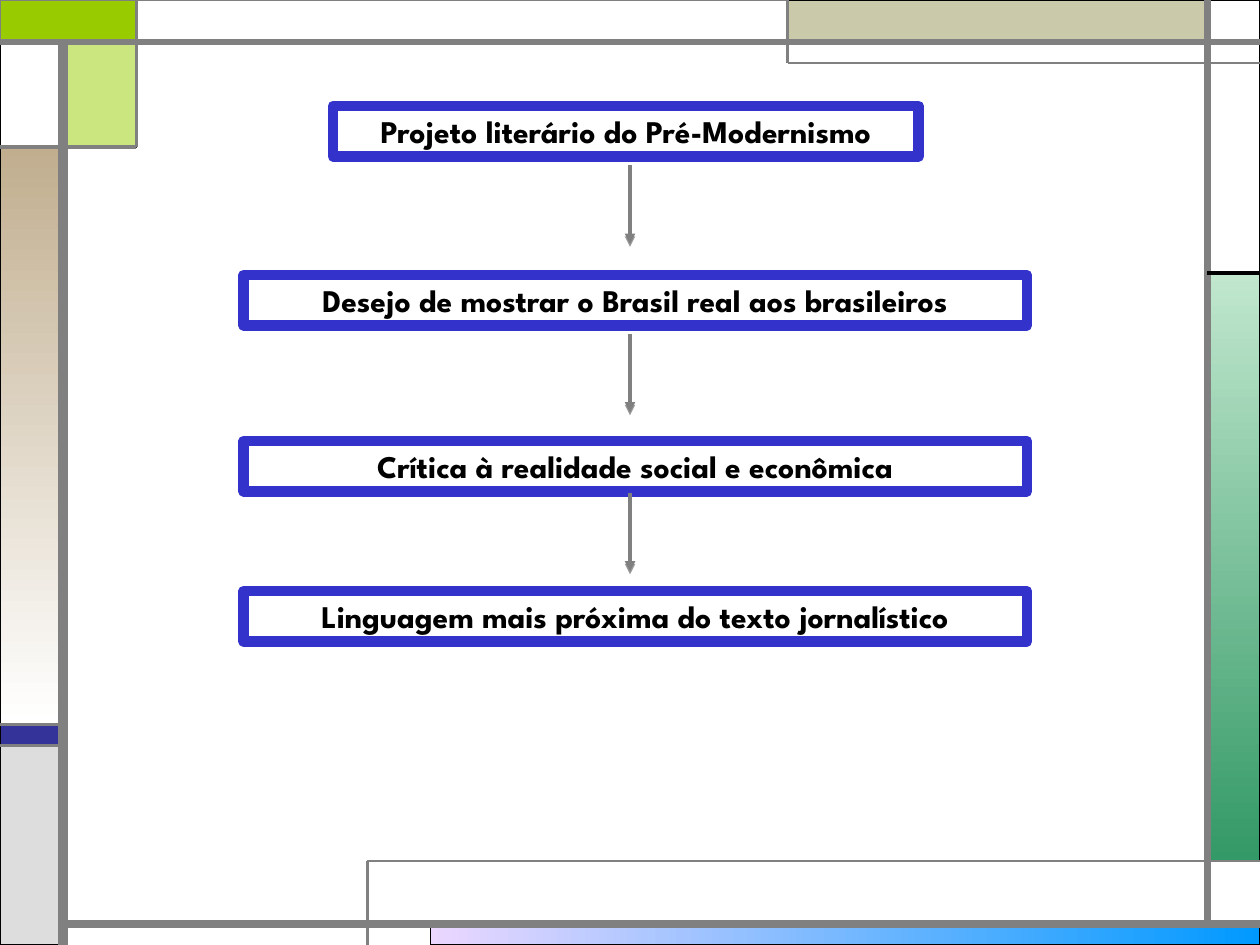
from dataclasses import dataclass

from lxml.etree import SubElement
from pptx import Presentation
from pptx.dml.color import RGBColor
from pptx.enum.shapes import MSO_CONNECTOR, MSO_SHAPE
from pptx.enum.text import MSO_ANCHOR, MSO_AUTO_SIZE, PP_ALIGN
from pptx.oxml.ns import qn
from pptx.util import Inches, Pt


@dataclass(frozen=True)
class Theme:
    font: str = "League Spartan"
    text_size: float = 18
    box_border: float = 6
    arrow_width: float = 2
    hairline: float = 0.75
    black: str = "000000"
    white: str = "FFFFFF"
    gray: str = "808080"
    silver: str = "DDDDDD"
    blue: str = "3333CC"
    navy: str = "333399"
    lime: str = "99CC00"
    sand: str = "CAC9AA"
    lilac_to_sky: tuple = ("EBD7FF", "0099FF")
    mint_to_green: tuple = ("C1E7CE", "339966")
    tan_to_white: tuple = ("C1AE8F", "FFFFFF")


THEME = Theme()
COLUMNS, ROWS = 120, 90
CELL = Inches(10) / COLUMNS


def cells(*values):
    """Turn grid counts into slide lengths."""
    return [round(value * CELL) for value in values]


def color(code):
    return RGBColor.from_string(code)


class SlideBuilder:
    """Holds the theme and the current slide; places elements on the grid."""

    def __init__(self, presentation, theme):
        self.theme = theme
        self.slide = presentation.slides.add_slide(presentation.slide_layouts[5])

    def rectangle(self, left, top, width, height):
        shape = self.slide.shapes.add_shape(
            MSO_SHAPE.RECTANGLE, *cells(left, top, width, height))
        shape.shadow.inherit = False
        return shape

    def outline(self, shape, code, width):
        shape.line.color.rgb = color(code)
        shape.line.width = Pt(width)

    def panel(self, bounds, fill, border=None, width=None, angle=0, opacity=None):
        """Decorative block; a pair of colours makes a gradient."""
        shape = self.rectangle(*bounds)
        self.outline(shape, border or self.theme.black, width or self.theme.hairline)
        if isinstance(fill, tuple):
            shape.fill.gradient()
            shape.fill.gradient_angle = angle
            for stop, code, position in zip(shape.fill.gradient_stops, fill, (0, 1)):
                stop.color.rgb = color(code)
                stop.position = position
        else:
            shape.fill.solid()
            shape.fill.fore_color.rgb = color(fill)
        if opacity:
            solid_fill = shape._element.spPr.find(qn("a:solidFill"))
            SubElement(solid_fill[0], qn("a:alpha"), val=str(opacity * 1000))

    def rule(self, start, end, width, code=None):
        connector = self.slide.shapes.add_connector(
            MSO_CONNECTOR.STRAIGHT, *cells(*start, *end))
        self.outline(connector, code or self.theme.gray, width)
        SubElement(connector._element.spPr, qn("a:effectLst"))
        return connector

    def arrow(self, column, top, length):
        """Downward arrow with a faint shadow below it."""
        connector = self.rule((column, top), (column, top + length), self.theme.arrow_width)
        properties = connector._element.spPr
        SubElement(properties.find(qn("a:ln")), qn("a:tailEnd"), type="triangle")
        shadow = SubElement(properties.find(qn("a:effectLst")), qn("a:outerShdw"),
                            blurRad="0", dist=str(Pt(1.6)), dir="5400000", rotWithShape="0")
        tint = SubElement(shadow, qn("a:srgbClr"), val=self.theme.black)
        SubElement(tint, qn("a:alpha"), val="38000")

    def label(self, shape, text):
        """Give a shape the flow-chart border and its centred bold text."""
        shape.fill.background()
        self.outline(shape, self.theme.blue, self.theme.box_border)
        frame = shape.text_frame
        frame.text = text
        frame.word_wrap = True
        frame.auto_size = MSO_AUTO_SIZE.NONE
        frame.vertical_anchor = MSO_ANCHOR.MIDDLE
        paragraph = frame.paragraphs[0]
        paragraph.alignment = PP_ALIGN.CENTER
        font = paragraph.font
        font.name = self.theme.font
        font.size = Pt(self.theme.text_size)
        font.bold = True
        font.color.rgb = color(self.theme.black)

    def title(self, bounds, text):
        shape = self.slide.shapes.title
        shape.left, shape.top, shape.width, shape.height = cells(*bounds)
        self.label(shape, text)

    def box(self, bounds, text):
        self.label(self.rectangle(*bounds), text)


def draw_frame(builder):
    theme = builder.theme
    builder.panel((41, 88, 79, 2), theme.lilac_to_sky)
    builder.panel((115, 26, 5, 56), theme.mint_to_green, angle=270)
    builder.panel((0, 69, 6, 2), theme.navy)
    builder.panel((0, 71, 6, 19), theme.silver)
    builder.panel((115, 0, 5, 26), theme.white)
    builder.panel((75, 0, 40, 4), theme.sand)
    builder.panel((6, 4, 7, 10), theme.lime, opacity=50)
    builder.panel((0, 14, 6, 55), theme.tan_to_white, angle=270)
    builder.panel((0, 4, 6, 10), theme.white)
    builder.panel((0, 0, 13, 4), theme.lime, theme.gray, 1.5)
    builder.panel((13, 0, 62, 4), theme.white, theme.gray)

    for start, end, width in (
        ((6, ROWS), (6, 4), 6),
        ((6, 88), (COLUMNS, 88), 4.5),
        ((115, 88), (115, 0), 4.5),
        ((0, 4), (COLUMNS, 4), 3),
        ((COLUMNS, 6), (75, 6), 1.5),
        ((75, 6), (75, 0), 1.5),
        ((13, 0), (13, 14), 1.5),
        ((13, 14), (0, 14), 2.25),
        ((35, ROWS), (35, 82), 1.5),
        ((35, 82), (COLUMNS, 82), 1.5),
        ((6, 69), (0, 69), 2.25),
        ((6, 71), (0, 71), 2.25),
    ):
        builder.rule(start, end, width)
    builder.rule((115, 26), (COLUMNS, 26), 2.25, theme.black)


def draw_flow(builder):
    box_height = 4.8
    builder.title((31.7, 10.1, 55.8, box_height), "Projeto literário do Pré-Modernismo")
    for top, text in (
        (26.2, "Desejo de mostrar o Brasil real aos brasileiros"),
        (42, "Crítica à realidade social e econômica"),
        (56.3, "Linguagem mais próxima do texto jornalístico"),
    ):
        builder.box((23.2, top, 74.6, box_height), text)
    for top in (15.75, 31.8, 46.95):
        builder.arrow(COLUMNS / 2, top, 7.5)


def main():
    presentation = Presentation()
    presentation.slide_width, presentation.slide_height = cells(COLUMNS, ROWS)
    builder = SlideBuilder(presentation, THEME)
    draw_frame(builder)
    draw_flow(builder)
    presentation.save("out.pptx")


if __name__ == "__main__":
    main()
